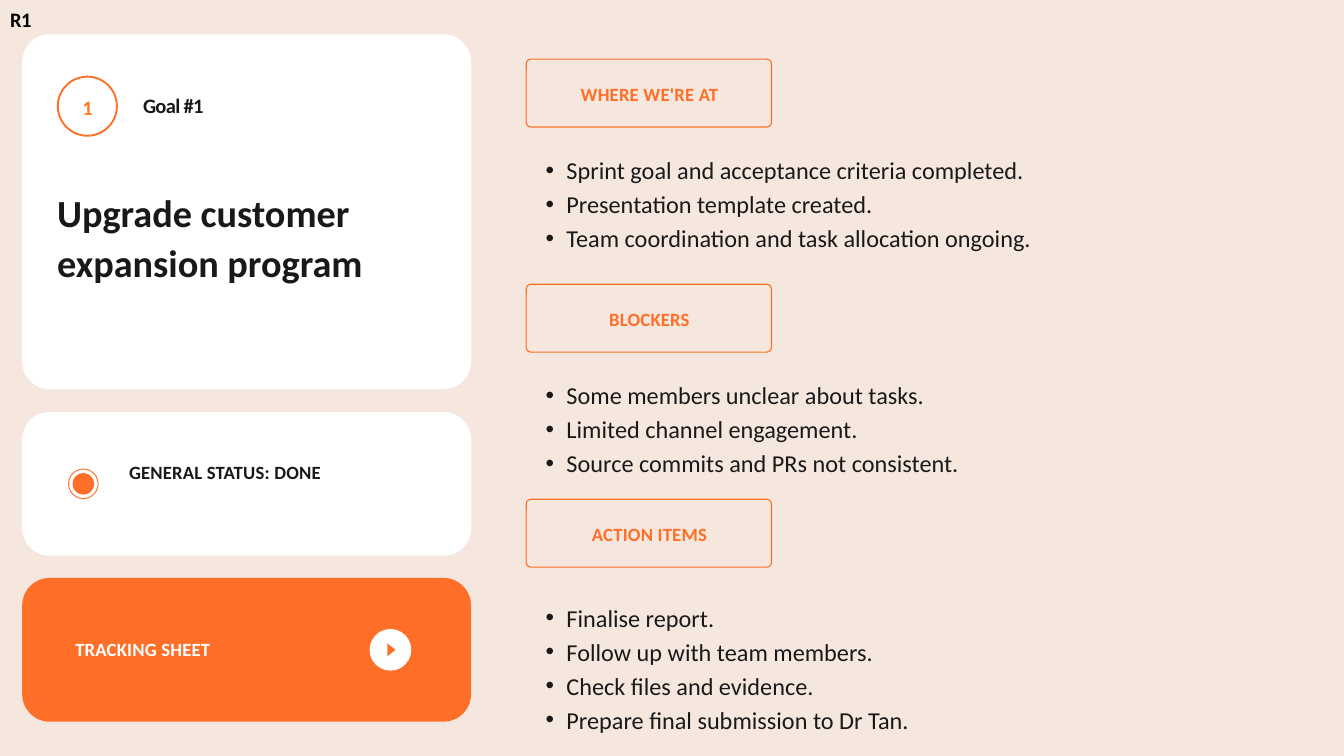
from pptx import Presentation
from pptx.dml.color import RGBColor
from pptx.enum.shapes import MSO_SHAPE as Kind
from pptx.enum.text import MSO_AUTO_SIZE as Auto, PP_ALIGN as Align
from pptx.util import Inches, Pt
from lxml.etree import SubElement
from pptx.oxml.ns import qn

ORANGE, WHITE, INK, BLACK = "FF6F28", "FFFFFF", "191919", "000000"

# Content: heading, box top, list top, bullets
PARTS = [
    ("WHERE WE'RE AT", 0.87, 2.24, [
        "Sprint goal and acceptance criteria completed.",
        "Presentation template created.",
        "Team coordination and task allocation ongoing."]),
    ("BLOCKERS", 4.22, 5.59, [
        "Some members unclear about tasks.",
        "Limited channel engagement.",
        "Source commits and PRs not consistent."]),
    ("ACTION ITEMS", 7.42, 8.9, [
        "Finalise report.",
        "Follow up with team members.",
        "Check files and evidence.",
        "Prepare final submission to Dr Tan."]),
]
# Cards: top, height, fill
CARDS = [(0.51, 5.28, WHITE), (6.13, 2.14, WHITE), (8.6, 2.14, ORANGE)]

# Text formats: font values, line pitch in points, letter spacing in points
LABEL = dict(size=Pt(22), bold=True), 28.6, -0.7
CAPS = dict(size=Pt(20), bold=True), 26, 0.2
TITLE = dict(size=Pt(41), bold=True), 53.3, 0
BODY = dict(size=Pt(26), bold=False), 36.4, 0

# Texts: words, left, top, width, height, format, colour, alignment
TEXTS = [
    ("1", 1.05, 1.38, 0.51, 0.38, LABEL, "FF7B26", Align.CENTER),
    ("Goal #1", 2.13, 1.36, 3.1, 0.39, LABEL, INK, Align.LEFT),
    ("Upgrade customer expansion program",
     0.85, 2.76, 5.64, 1.46, TITLE, INK, Align.LEFT),
    ("GENERAL STATUS: DONE", 1.92, 6.83, 3.07, 0.71, CAPS, INK, Align.LEFT),
    ("TRACKING SHEET", 1.12, 9.47, 3.31, 0.36, CAPS, WHITE, Align.LEFT),
    ("R1", 0.12, 0.07, 0.38, 0.39, LABEL, BLACK, Align.CENTER),
]

deck = Presentation()
deck.slide_width, deck.slide_height = Inches(20), Inches(11.25)
slide = deck.slides.add_slide(deck.slide_layouts[6])


def paint(fill, color):
    fill.solid()
    fill.fore_color.rgb = RGBColor.from_string(color)


def shape(kind, x, y, w, h, fill=None, line=None, radius=None):
    item = slide.shapes.add_shape(kind, *map(Inches, (x, y, w, h)))
    item.shadow.inherit = False
    if radius:
        item.adjustments[0] = radius / min(w, h)
    if fill:
        paint(item.fill, fill)
    else:
        item.fill.background()
    if line:
        paint(item.line.fill, ORANGE)
        item.line.width = Pt(line)
    else:
        item.line.fill.background()
    return item


def text(lines, x, y, w, h, style, color, align=Align.LEFT, bullet=False):
    look, pitch, gap = style
    frame = slide.shapes.add_textbox(*map(Inches, (x, y, w, h))).text_frame
    for side in ("left", "right", "top", "bottom"):
        setattr(frame, f"margin_{side}", 0)
    frame.word_wrap = True
    frame.auto_size = Auto.SHAPE_TO_FIT_TEXT
    for i, words in enumerate(lines):
        para = frame.paragraphs[0] if i == 0 else frame.add_paragraph()
        para.alignment, para.line_spacing = align, Pt(pitch)
        if bullet:
            para.level = 1
            props = para._p.get_or_add_pPr()
            props.set("marL", str(Inches(0.61)))
            props.set("indent", str(Inches(-0.31)))
            SubElement(props, qn("a:buFont")).set("typeface", "Arial")
            SubElement(props, qn("a:buChar")).set("char", "•")
        run = para.add_run()
        run.text = words
        run.font.name = "Calibri"
        for key, value in look.items():
            setattr(run.font, key, value)
        run.font.color.rgb = RGBColor.from_string(color)
        if gap:
            run._r.get_or_add_rPr().set("spc", str(round(gap * 100)))


paint(slide.background.fill, "F6E7DE")

# Left cards
for top, high, fill in CARDS:
    shape(Kind.ROUNDED_RECTANGLE, 0.33, top, 6.68, high, fill, radius=0.41)

# Goal ring, status light and play button
shape(Kind.OVAL, 0.86, 1.14, 0.88, 0.88, line=2)
shape(Kind.OVAL, 1.02, 6.98, 0.44, 0.44, line=1)
shape(Kind.OVAL, 1.08, 7.04, 0.32, 0.32, ORANGE)
shape(Kind.OVAL, 5.5, 9.36, 0.62, 0.62, WHITE)
shape(Kind.ISOSCELES_TRIANGLE, 5.73, 9.61, 0.19, 0.12, ORANGE).rotation = 90

# Right column
for head, top, start, points in PARTS:
    shape(Kind.ROUNDED_RECTANGLE, 7.83, top + 0.01, 3.65, 1.01,
          line=1.25, radius=0.07)
    text([head], 8.13, top + 0.33, 3.07, 0.35, CAPS, ORANGE, Align.CENTER)
    text(points, 7.82, start, 11.4, 1.98, BODY, INK, bullet=True)

for words, *rest in TEXTS:
    text([words], *rest)

deck.save("out.pptx")
